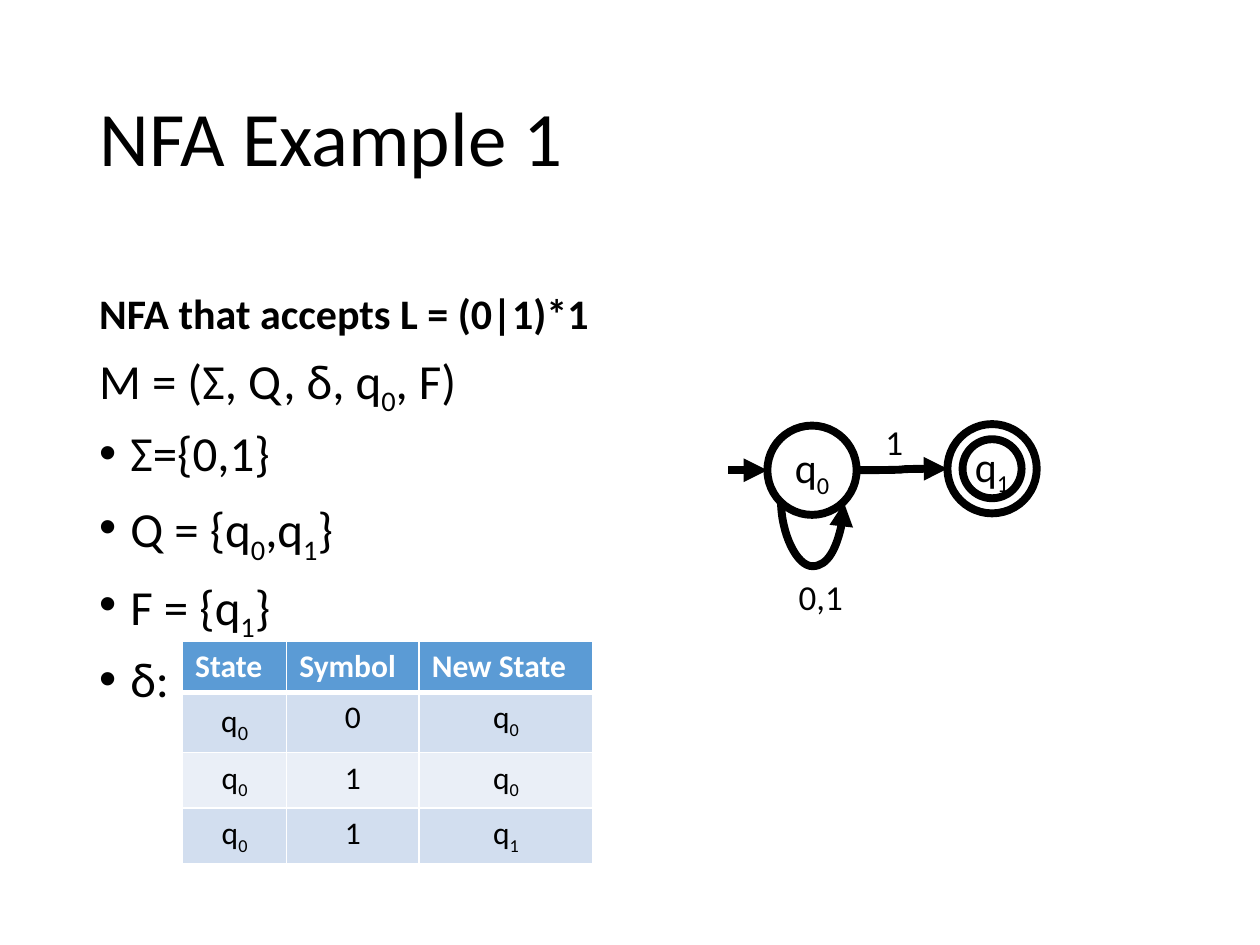
from lxml.etree import SubElement
from pptx import Presentation
from pptx.dml.color import RGBColor
from pptx.enum.shapes import MSO_CONNECTOR, MSO_SHAPE
from pptx.enum.text import MSO_ANCHOR, MSO_AUTO_SIZE, PP_ALIGN
from pptx.oxml.ns import qn
from pptx.util import Cm, Pt

COLORS = {"text": "000000", "white": "FFFFFF", "header": "5B9BD5",
          "band_dark": "D2DEEF", "band_light": "EAEFF7"}
FONT = "Calibri"

TITLE = "NFA Example 1"
HEADING = "NFA that accepts L = (0|1)*1"
DEFINITION = [("M = (Σ, Q, δ, q_0, F)", False), ("Σ={0,1}", True),
              ("Q = {q_0,q_1}", True), ("F = {q_1} ", True), ("δ:", True)]
TRANSITIONS = [("State", "Symbol", "New State"),
               ("q_0", "0", "q_0"), ("q_0", "1", "q_0"), ("q_0", "1", "q_1")]
COLUMN_WIDTHS = (2.1, 2.67, 3.5)
ROW_HEIGHT = 1.03

STATE_SIZE, ACCEPT_SIZE = 1.8, 1.19
STATES = [("q_0", 16.37, 9.48, STATE_SIZE), ("q_1", 20.0, 9.45, STATE_SIZE),
          ("", 20.0, 9.45, ACCEPT_SIZE)]
LABELS = [("0,1", 15.85, 11.48, 1.42), ("1", 17.6, 8.36, 0.86)]
LOOP_LEFT, LOOP_TOP, LOOP_WIDTH, LOOP_SPAN, LOOP_DEPTH = 16.36, 9.48, 0.04, 1.27, 1.32


def color(name):
    return RGBColor.from_string(COLORS[name])


def write(para, text, size, ink="text", bold=False, align=PP_ALIGN.LEFT,
          spacing=None, before=0, bullet=False, sub_size=None):
    para.alignment = align
    para.space_before = Pt(before)
    if spacing:
        para.line_spacing = spacing
    if bullet:
        props = para._p.get_or_add_pPr()
        props.set("marL", str(Cm(0.63)))
        props.set("indent", str(-Cm(0.63)))
        SubElement(props, qn("a:buFont"), typeface="Arial")
        SubElement(props, qn("a:buChar"), char="•")
    first, *others = text.split("_")
    pieces = [(first, False)]
    for other in others:
        pieces += [(other[0], True), (other[1:], False)]
    for piece, lowered in pieces:
        if not piece:
            continue
        span = para.add_run()
        span.text = piece
        span.font.name = FONT
        span.font.size = Pt(sub_size if lowered and sub_size else size)
        span.font.bold = bold
        span.font.color.rgb = color(ink)
        if lowered:
            span._r.get_or_add_rPr().set("baseline", "-25000")


def add_text(page, left, top, width, height, wrap=True, anchor=MSO_ANCHOR.TOP):
    frame = page.shapes.add_textbox(Cm(left), Cm(top), Cm(width), Cm(height)).text_frame
    frame.word_wrap = wrap
    frame.vertical_anchor = anchor
    frame.auto_size = MSO_AUTO_SIZE.NONE if wrap else MSO_AUTO_SIZE.SHAPE_TO_FIT_TEXT
    return frame


def add_state(page, text, center_x, center_y, size):
    circle = page.shapes.add_shape(MSO_SHAPE.OVAL, Cm(center_x - size / 2),
                                   Cm(center_y - size / 2), Cm(size), Cm(size))
    circle.shadow.inherit = False
    circle.fill.background()
    circle.line.color.rgb = color("text")
    circle.line.width = Pt(4.5)
    if text:
        frame = circle.text_frame
        frame.word_wrap = False
        frame.vertical_anchor = MSO_ANCHOR.MIDDLE
        write(frame.paragraphs[0], text, 24, align=PP_ALIGN.CENTER)


def add_arrow(page, kind, *ends):
    arrow = page.shapes.add_connector(kind, *[Cm(end) for end in ends])
    arrow.line.color.rgb = color("text")
    arrow.line.width = Pt(4.5)
    SubElement(arrow.line._get_or_add_ln(), qn("a:tailEnd"), type="triangle")
    SubElement(arrow._element.spPr, qn("a:effectLst"))
    return arrow


def format_cell(cell, fill, bottom):
    props = cell._tc.get_or_add_tcPr()
    for side, width in (("L", 1), ("R", 1), ("T", 1), ("B", bottom)):
        border = SubElement(props, qn("a:ln" + side), w=str(Pt(width)))
        solid = SubElement(border, qn("a:solidFill"))
        SubElement(solid, qn("a:srgbClr"), val=COLORS["white"])
    cell.fill.solid()
    cell.fill.fore_color.rgb = color(fill)


deck = Presentation()
deck.slide_width, deck.slide_height = Cm(25.4), Cm(19.05)
page = deck.slides.add_slide(deck.slide_layouts[5])

title = page.shapes.title
title.left, title.top, title.width, title.height = Cm(1.75), Cm(1.01), Cm(21.9), Cm(3.68)
title.text_frame.vertical_anchor = MSO_ANCHOR.MIDDLE
write(title.text_frame.paragraphs[0], TITLE, 44, spacing=0.9)

heading = add_text(page, 1.75, 4.67, 10.74, 2.29, anchor=MSO_ANCHOR.BOTTOM)
write(heading.paragraphs[0], HEADING, 24, bold=True, spacing=0.9, before=10)

table = page.shapes.add_table(len(TRANSITIONS), len(COLUMN_WIDTHS), Cm(3.68), Cm(12.93),
                              Cm(sum(COLUMN_WIDTHS)), Cm(ROW_HEIGHT * len(TRANSITIONS))).table
for column, width in zip(table.columns, COLUMN_WIDTHS):
    column.width = Cm(width)
for r, row in enumerate(TRANSITIONS):
    table.rows[r].height = Cm(ROW_HEIGHT)
    header = r == 0
    fill = "header" if header else ("band_light", "band_dark")[r % 2]
    for c, text in enumerate(row):
        cell = table.cell(r, c)
        format_cell(cell, fill, 3 if header else 1)
        write(cell.text_frame.paragraphs[0], text, 18, bold=header,
              ink="white" if header else "text",
              align=PP_ALIGN.LEFT if header else PP_ALIGN.CENTER,
              sub_size=20 if (r, c) == (1, 0) else None)

for state in STATES:
    add_state(page, *state)

add_arrow(page, MSO_CONNECTOR.STRAIGHT, 14.68, 9.48, 15.47, 9.48)
add_arrow(page, MSO_CONNECTOR.CURVE, 17.27, 9.48, 19.1, 9.45)
loop = add_arrow(page, MSO_CONNECTOR.CURVE, LOOP_LEFT + LOOP_WIDTH, LOOP_TOP,
                 LOOP_LEFT, LOOP_TOP + LOOP_SPAN)
loop_props = loop._element.spPr
loop_props.find(qn("a:xfrm")).set("rot", str(270 * 60000))
guides = loop_props.find(qn("a:prstGeom")).find(qn("a:avLst"))
SubElement(guides, qn("a:gd"), name="adj1",
           fmla=f"val {round(LOOP_DEPTH / LOOP_WIDTH * 100000)}")

for text, left, top, width in LABELS:
    label = add_text(page, left, top, width, 1.11, wrap=False)
    write(label.paragraphs[0], text, 20)

definition = add_text(page, 1.75, 6.96, 10.74, 13.87)
for i, (text, bullet) in enumerate(DEFINITION):
    para = definition.add_paragraph() if i else definition.paragraphs[0]
    write(para, text, 28, spacing=0.9, before=10, bullet=bullet)

deck.save("out.pptx")
